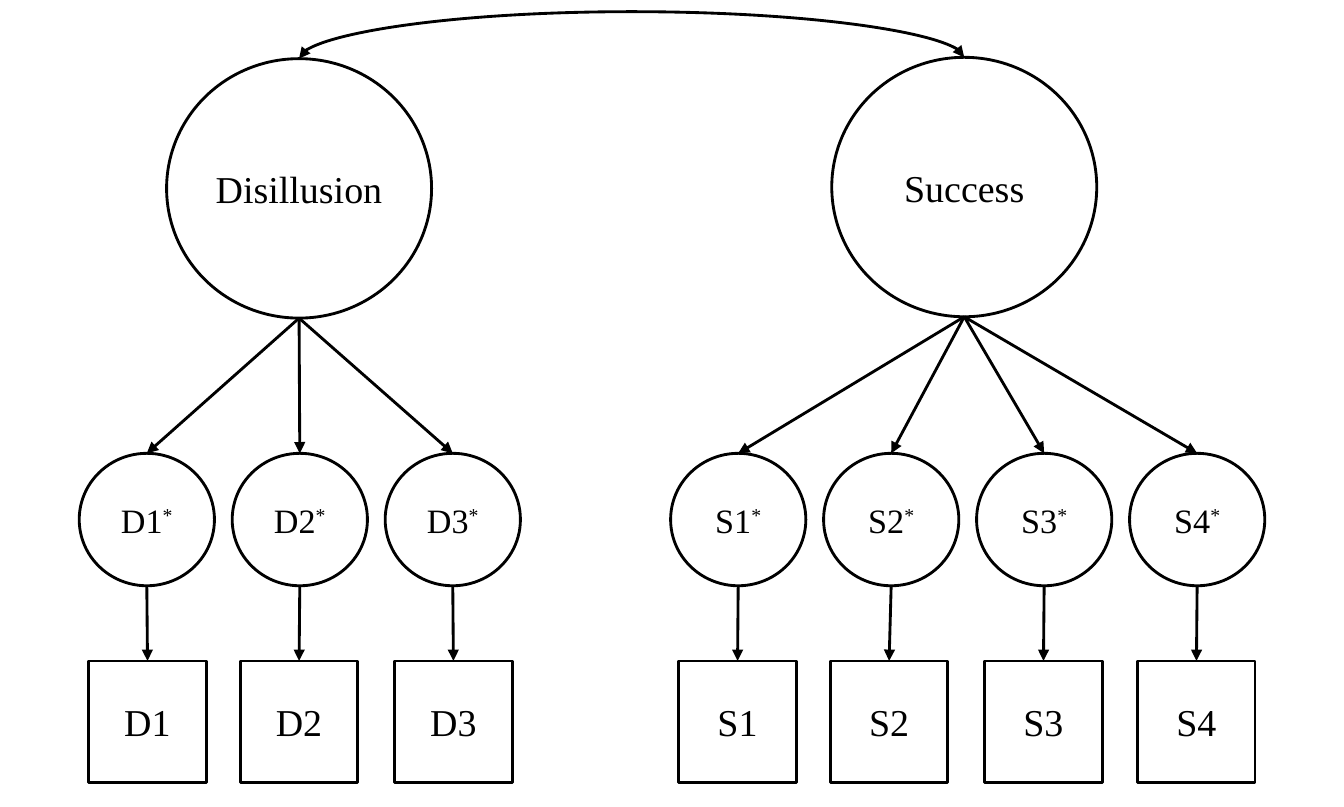
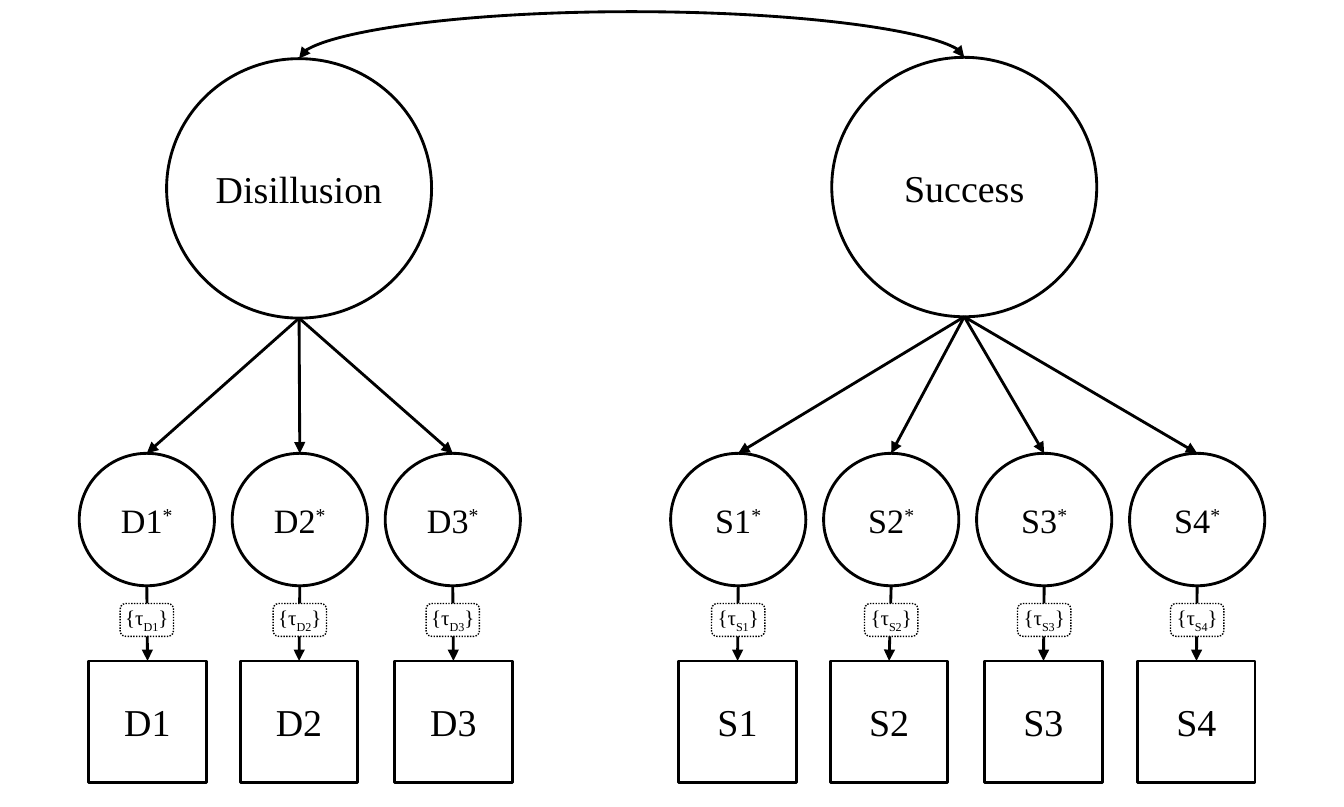
from lxml.etree import SubElement
from pptx import Presentation
from pptx.dml.color import RGBColor
from pptx.enum.dml import MSO_LINE
from pptx.enum.shapes import MSO_CONNECTOR, MSO_SHAPE
from pptx.enum.text import MSO_ANCHOR, PP_ALIGN
from pptx.oxml.ns import qn
from pptx.util import Inches, Pt

INK, PAPER, FONT = "000000", "FFFFFF", "Times New Roman"
GROUPS = [
    dict(name="Disillusion", at=(1.22, 0.43), key="D", left=0.58,
         boxes=(0.65, 1.76, 2.89)),
    dict(name="Success", at=(6.09, 0.42), key="S", left=4.91,
         boxes=(4.97, 6.08, 7.21, 8.33)),
]
STEP = 1.12
BIG, RING, BOX, TAG = (1.94, 1.9), (0.99, 0.97), (0.86, 0.89), (0.39, 0.24)
RINGTOP, BOXTOP, TAGTOP = 3.32, 4.84, 4.42
RISE = 0.35


def color(code):
    return RGBColor.from_string(code)


def node(slide, kind, at, size, parts, points, pad=(0.1, 0.05)):
    shape = slide.shapes.add_shape(kind, *map(Inches, at + size))
    shape.shadow.inherit = False
    shape.fill.solid()
    shape.fill.fore_color.rgb = color(PAPER)
    shape.line.color.rgb = color(INK)
    shape.line.width = Pt(1.5)
    frame = shape.text_frame
    frame.word_wrap = True
    frame.vertical_anchor = MSO_ANCHOR.MIDDLE
    frame.margin_left = frame.margin_right = Inches(pad[0])
    frame.margin_top = frame.margin_bottom = Inches(pad[1])
    line = frame.paragraphs[0]
    line.alignment = PP_ALIGN.CENTER
    for text, base in parts:
        run = line.add_run()
        run.text = text
        run.font.name = FONT
        run.font.size = Pt(points)
        run.font.color.rgb = color(INK)
        if base:
            run._r.get_or_add_rPr().set("baseline", str(base * 1000))
    return shape


def arrow(slide, start, goal, kind=MSO_CONNECTOR.STRAIGHT, ends=("tailEnd",)):
    x = start.left + start.width // 2
    link = slide.shapes.add_connector(
        kind, x, start.top + start.height, x, goal.top)
    link.end_connect(goal, 0)
    link.line.color.rgb = color(INK)
    link.line.width = Pt(1.5)
    for end in ends:
        SubElement(link.line._get_or_add_ln(), qn("a:" + end), type="triangle")
    SubElement(link._element.spPr, qn("a:effectLst"))
    return link


def arc(slide, start, goal):
    link = arrow(slide, start, goal, MSO_CONNECTOR.CURVE,
                 ("headEnd", "tailEnd"))
    link.begin_connect(start, 0)
    wide, drop = goal.left - start.left, start.top - goal.top
    mid = start.left + (start.width + wide) // 2
    link.width, link.height = drop, wide
    link.left = mid - drop // 2
    link.top = (start.top + goal.top - wide) // 2
    form = link._element.spPr.find(qn("a:xfrm"))
    for key, value in (("rot", "5400000"), ("flipH", "1"), ("flipV", "1")):
        form.set(key, value)
    guides = link._element.spPr.find(qn("a:prstGeom")).find(qn("a:avLst"))
    bend = round(Inches(RISE) / drop * 100000)
    SubElement(guides, qn("a:gd"), name="adj1", fmla=f"val {bend}")


def tag(slide, left, name):
    shape = node(slide, MSO_SHAPE.ROUNDED_RECTANGLE, (left, TAGTOP), TAG,
                 [("{τ", 0), (name, -25), ("}", 0)], 11, (0, 0))
    shape.text_frame.vertical_anchor = MSO_ANCHOR.TOP
    shape.line.width = Pt(0.75)
    shape.line.dash_style = MSO_LINE.ROUND_DOT


def model(slide, tags):
    tops = []
    for group in GROUPS:
        top = node(slide, MSO_SHAPE.OVAL, group["at"], BIG,
                   [(group["name"], 0)], 20, (0, 0.05))
        tops.append(top)
        for i, spot in enumerate(group["boxes"]):
            name = f"{group['key']}{i + 1}"
            left = group["left"] + i * STEP
            ring = node(slide, MSO_SHAPE.OVAL, (left, RINGTOP), RING,
                        [(name, 0), ("*", 30)], 18)
            box = node(slide, MSO_SHAPE.RECTANGLE, (spot, BOXTOP), BOX,
                       [(name, 0)], 20, (0.06, 0.03))
            arrow(slide, top, ring)
            arrow(slide, ring, box)
            if tags:
                tag(slide, left + (RING[0] - TAG[0]) / 2, name)
    arc(slide, *tops)


def main():
    deck = Presentation()
    deck.slide_width, deck.slide_height = Inches(9.84), Inches(5.91)
    for tags in (False, True):
        model(deck.slides.add_slide(deck.slide_layouts[6]), tags)
    deck.save("out.pptx")


if __name__ == "__main__":
    main()
